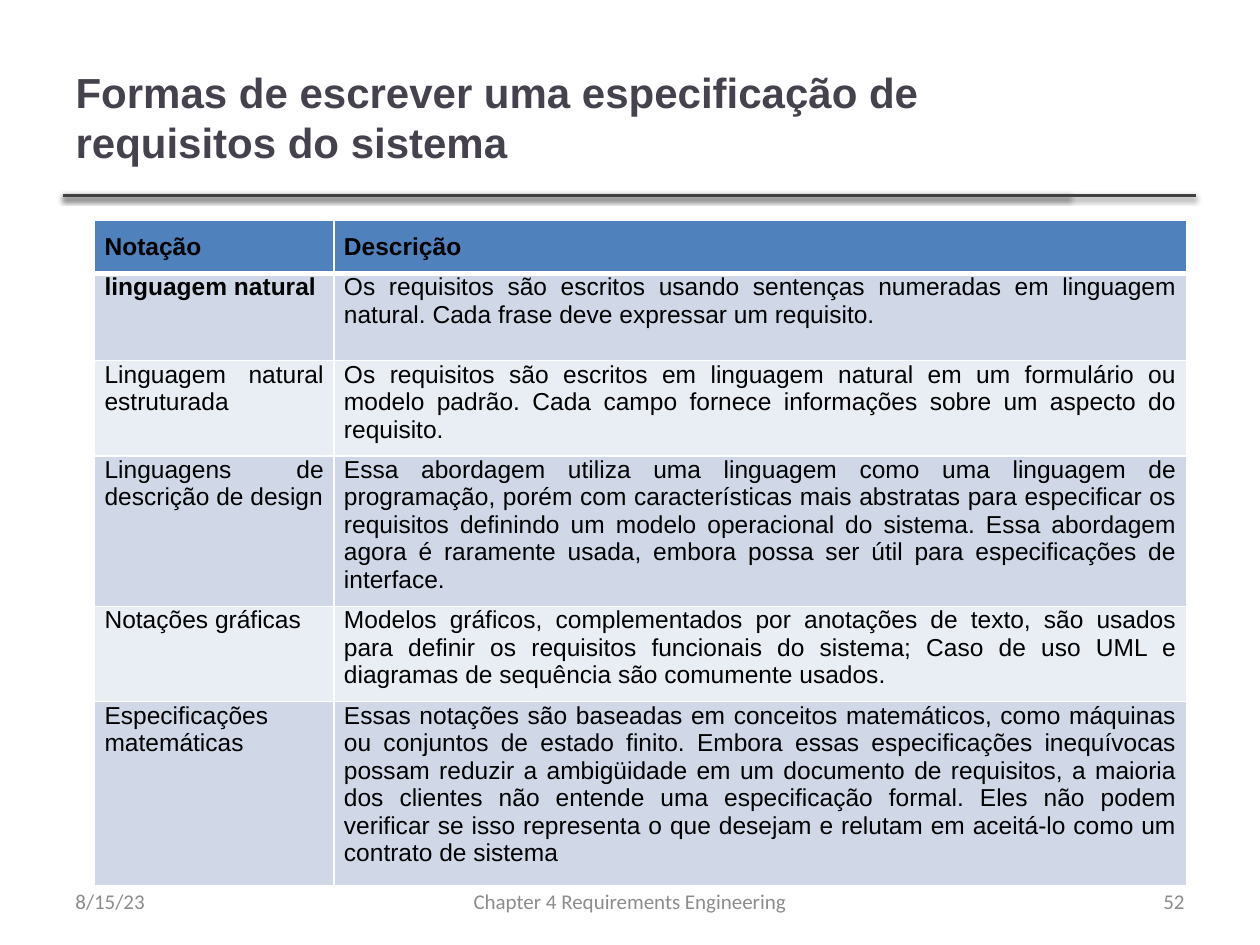
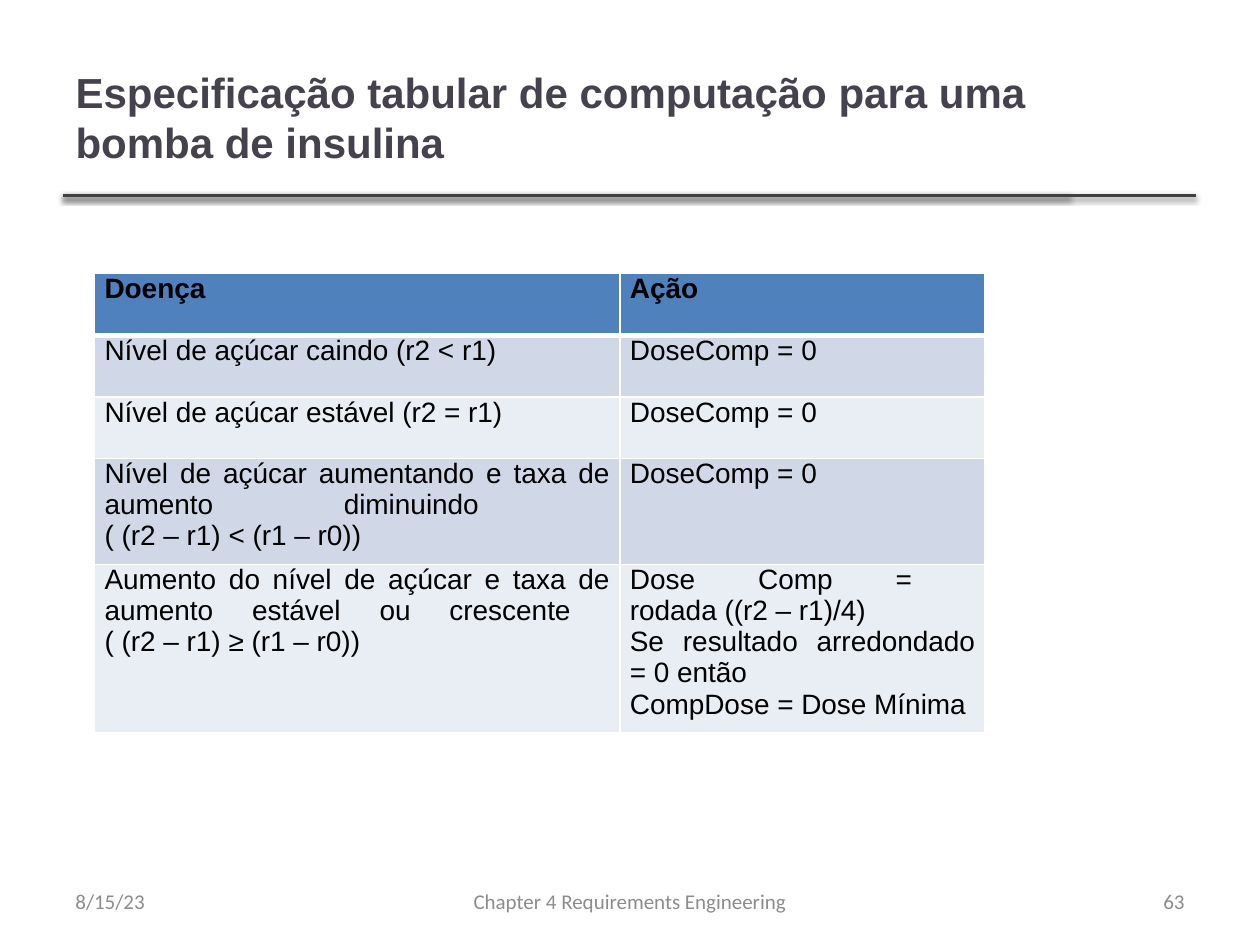
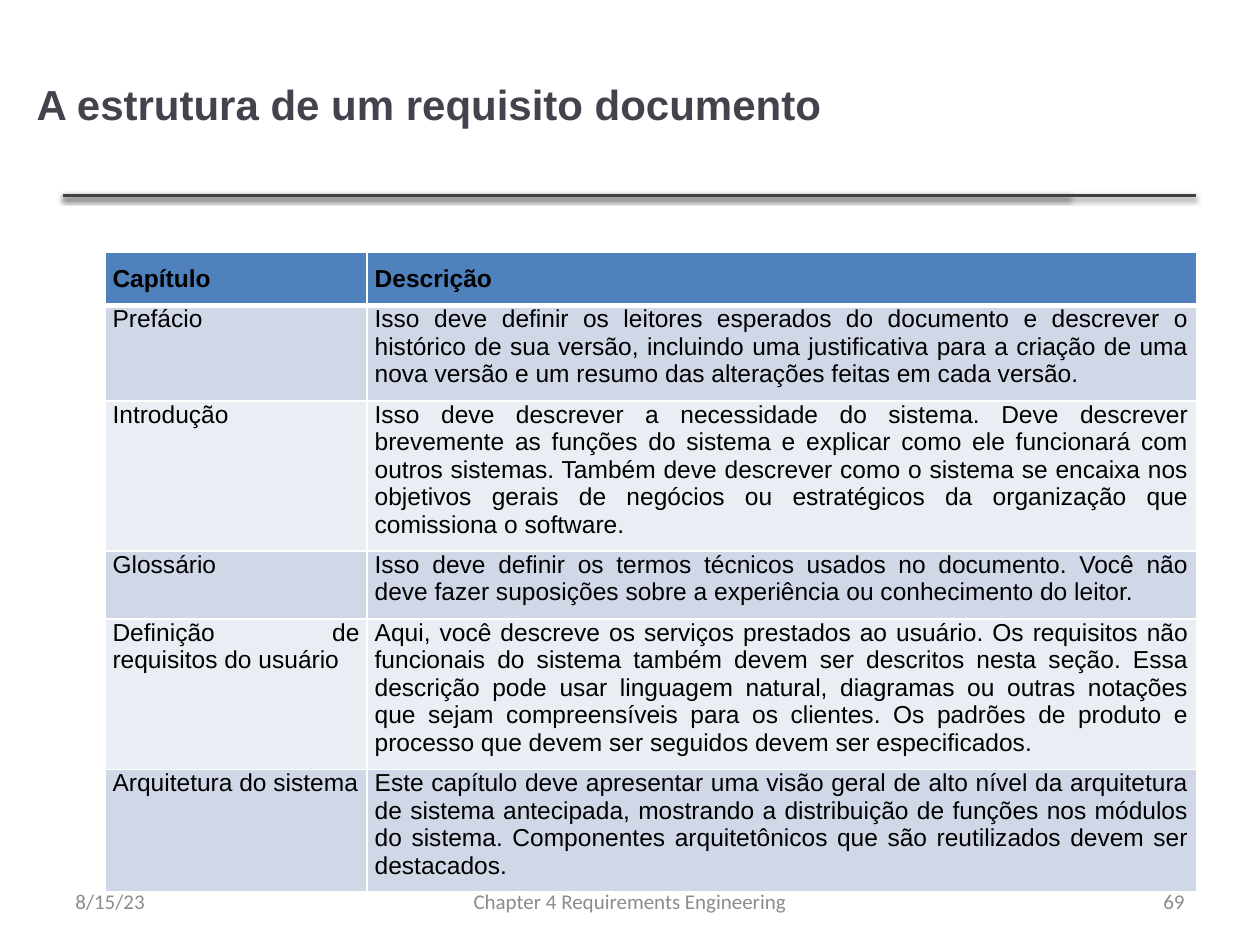
from lxml import etree
from pptx import Presentation
from pptx.dml.color import RGBColor
from pptx.enum.shapes import MSO_CONNECTOR
from pptx.enum.text import MSO_ANCHOR, PP_ALIGN
from pptx.oxml.ns import qn
from pptx.util import Pt

LEFT, CENTER, RIGHT = PP_ALIGN.LEFT, PP_ALIGN.CENTER, PP_ALIGN.RIGHT
JUSTIFY = PP_ALIGN.JUSTIFY
MIDDLE = MSO_ANCHOR.MIDDLE
STRAIGHT = MSO_CONNECTOR.STRAIGHT

TITLE_COLOR, RULE_COLOR, FOOTER_COLOR = "46424D", "404040", "8C8C8C"
HEADER_FILL, BAND_FILLS = "4F81BD", ("D0D8E8", "E9EDF4")
BLACK, WHITE = "000000", "FFFFFF"

RULE_LEFT, RULE_Y = 36, 111.6
RULE_ENDS = (611.3, 683.3)
TITLE_BOX = (36, 21.6, 574.6, 90)
FOOTER_TOP, FOOTER_HEIGHT = 500.5, 28.8
DATE, FOOTER = "8/15/23", "Chapter 4 Requirements Engineering"
BOTTOM_INSET = 7.2

# In cell texts "\v" breaks a line and "\n" starts a paragraph.
SLIDES = [
    {
        "title": "Formas de escrever uma especificação de requisitos do sistema",
        "title_box": TITLE_BOX,
        "number": "52",
        "table_at": (54, 126),
        "columns": (136.8, 487.4),
        "heights": (29, 50, 54.5, 85.5, 54.5, 105),
        "size": 14,
        "side_inset": 5.76,
        "header_inset": 7.2,
        "bold_cells": {(1, 0)},
        "rows": [
            ("Notação", "Descrição"),
            ("linguagem natural",
             "Os requisitos são escritos usando sentenças numeradas em linguagem natural. "
             "Cada frase deve expressar um requisito."),
            ("Linguagem natural estruturada",
             "Os requisitos são escritos em linguagem natural em um formulário ou modelo "
             "padrão. Cada campo fornece informações sobre um aspecto do requisito."),
            ("Linguagens de descrição de design",
             "Essa abordagem utiliza uma linguagem como uma linguagem de programação, porém "
             "com características mais abstratas para especificar os requisitos definindo um "
             "modelo operacional do sistema. Essa abordagem agora é raramente usada, embora "
             "possa ser útil para especificações de interface."),
            ("Notações gráficas",
             "Modelos gráficos, complementados por anotações de texto, são usados para definir "
             "os requisitos funcionais do sistema; Caso de uso UML e diagramas de sequência "
             "são comumente usados."),
            ("Especificações matemáticas",
             "Essas notações são baseadas em conceitos matemáticos, como máquinas ou conjuntos "
             "de estado finito. Embora essas especificações inequívocas possam reduzir a "
             "ambigüidade em um documento de requisitos, a maioria dos clientes não entende uma "
             "especificação formal. Eles não podem verificar se isso representa o que desejam e "
             "relutam em aceitá-lo como um contrato de sistema"),
        ],
    },
    {
        "title": "Especificação tabular de computação para uma bomba de insulina",
        "title_box": TITLE_BOX,
        "number": "63",
        "table_at": (54, 156.3),
        "columns": (300.2, 208.8),
        "heights": (35.25, 35.25, 35.25, 60.4, 96),
        "size": 16,
        "side_inset": 5.76,
        "header_inset": 0,
        "bold_cells": set(),
        "rows": [
            ("Doença", "Ação"),
            ("Nível de açúcar caindo (r2 < r1)", "DoseComp = 0"),
            ("Nível de açúcar estável (r2 = r1)", "DoseComp = 0"),
            ("Nível de açúcar aumentando e taxa de aumento diminuindo \v"
             "( (r2 – r1) < (r1 – r0))", "DoseComp = 0"),
            ("Aumento do nível de açúcar e taxa de aumento estável ou crescente \v"
             "( (r2 – r1) ≥ (r1 – r0))",
             "Dose Comp = \vrodada ((r2 – r1)/4)\n"
             "Se resultado arredondado = 0 então\n"
             "CompDose = Dose Mínima"),
        ],
    },
    {
        "title": "A estrutura de um requisito documento",
        "title_box": (13.7, 16.6, 580.3, 85.7),
        "number": "69",
        "table_at": (60, 144.3),
        "columns": (149.8, 473.8),
        "heights": (29.5, 54.6, 85.6, 38.8, 85.6, 69.9),
        "size": 14,
        "side_inset": 4.32,
        "header_inset": 7.2,
        "bold_cells": set(),
        "rows": [
            ("Capítulo", "Descrição"),
            ("Prefácio",
             "Isso deve definir os leitores esperados do documento e descrever o histórico de "
             "sua versão, incluindo uma justificativa para a criação de uma nova versão e um "
             "resumo das alterações feitas em cada versão."),
            ("Introdução",
             "Isso deve descrever a necessidade do sistema. Deve descrever brevemente as "
             "funções do sistema e explicar como ele funcionará com outros sistemas. Também "
             "deve descrever como o sistema se encaixa nos objetivos gerais de negócios ou "
             "estratégicos da organização que comissiona o software."),
            ("Glossário",
             "Isso deve definir os termos técnicos usados no documento. Você não deve fazer "
             "suposições sobre a experiência ou conhecimento do leitor."),
            ("Definição de requisitos do usuário",
             "Aqui, você descreve os serviços prestados ao usuário. Os requisitos não "
             "funcionais do sistema também devem ser descritos nesta seção. Essa descrição "
             "pode usar linguagem natural, diagramas ou outras notações que sejam "
             "compreensíveis para os clientes. Os padrões de produto e processo que devem ser "
             "seguidos devem ser especificados."),
            ("Arquitetura do sistema",
             "Este capítulo deve apresentar uma visão geral de alto nível da arquitetura de "
             "sistema antecipada, mostrando a distribuição de funções nos módulos do sistema. "
             "Componentes arquitetônicos que são reutilizados devem ser destacados."),
        ],
    },
]


def rgb(value):
    return RGBColor.from_string(value)


def points(values):
    return [Pt(value) for value in values]


def add_node(parent, tag, **attributes):
    node = etree.SubElement(parent, qn(tag))
    for name, value in attributes.items():
        node.set(name, str(value))
    return node


def write(frame, text, font_name, size, color, align, bold=False):
    frame.text = text
    for paragraph in frame.paragraphs:
        paragraph.alignment = align
        font = paragraph.font
        font.name, font.size, font.bold = font_name, Pt(size), bold
        font.color.rgb = rgb(color)


def add_rules(slide):
    """Draw the two overlapping shadowed rules below the title."""
    for end in RULE_ENDS:
        rule = slide.shapes.add_connector(STRAIGHT, *points((RULE_LEFT, RULE_Y, end, RULE_Y)))
        rule.line.color.rgb = rgb(RULE_COLOR)
        rule.line.width = Pt(2)
        effects = add_node(rule._element.spPr, "a:effectLst")
        shadow = add_node(effects, "a:outerShdw", blurRad=Pt(3.1), dist=Pt(1.6),
                          dir=90 * 60000, rotWithShape=0)
        shadow_color = add_node(shadow, "a:srgbClr", val=BLACK)
        add_node(shadow_color, "a:alpha", val=38000)


def set_title(slide, text, box):
    title = slide.shapes.title
    title.left, title.top, title.width, title.height = points(box)
    title.text_frame.vertical_anchor = MIDDLE
    write(title.text_frame, text, "Arial", 24, TITLE_COLOR, LEFT, bold=True)


def add_footers(slide, number):
    footers = ((DATE, 36, 168, LEFT), (FOOTER, 246, 228, CENTER), (number, 516, 168, RIGHT))
    for text, left, width, align in footers:
        box = slide.shapes.add_textbox(*points((left, FOOTER_TOP, width, FOOTER_HEIGHT)))
        box.text_frame.word_wrap = True
        box.text_frame.vertical_anchor = MIDDLE
        write(box.text_frame, text, "Calibri", 12, FOOTER_COLOR, align)


def add_borders(cell, row):
    """Draw white borders, thicker between the header and the body."""
    properties = cell._tc.get_or_add_tcPr()
    widths = {"a:lnL": 1, "a:lnR": 1, "a:lnT": 3 if row == 1 else 1, "a:lnB": 3 if row == 0 else 1}
    for tag, width in widths.items():
        border = add_node(properties, tag, w=Pt(width))
        add_node(add_node(border, "a:solidFill"), "a:srgbClr", val=WHITE)


def add_grid(slide, content):
    rows, columns, heights = content["rows"], content["columns"], content["heights"]
    box = points((*content["table_at"], sum(columns), sum(heights)))
    grid = slide.shapes.add_table(len(rows), len(columns), *box).table
    for column, width in zip(grid.columns, columns):
        column.width = Pt(width)
    for r, (texts, height) in enumerate(zip(rows, heights)):
        grid.rows[r].height = Pt(height)
        for c, text in enumerate(texts):
            cell = grid.cell(r, c)
            cell.margin_left = cell.margin_right = Pt(content["side_inset"])
            cell.margin_top = Pt(content["header_inset"] if r == 0 else 0)
            cell.margin_bottom = Pt(BOTTOM_INSET)
            add_borders(cell, r)
            cell.fill.solid()
            cell.fill.fore_color.rgb = rgb(BAND_FILLS[(r - 1) % 2] if r else HEADER_FILL)
            bold = r == 0 or (r, c) in content["bold_cells"]
            write(cell.text_frame, text, "Arial", content["size"], BLACK, JUSTIFY, bold)


def main():
    deck = Presentation()
    deck.slide_width, deck.slide_height = Pt(720), Pt(540)
    title_only = deck.slide_layouts[5]
    for content in SLIDES:
        slide = deck.slides.add_slide(title_only)
        add_rules(slide)
        set_title(slide, content["title"], content["title_box"])
        add_grid(slide, content)
        add_footers(slide, content["number"])
    deck.save("out.pptx")


if __name__ == "__main__":
    main()
